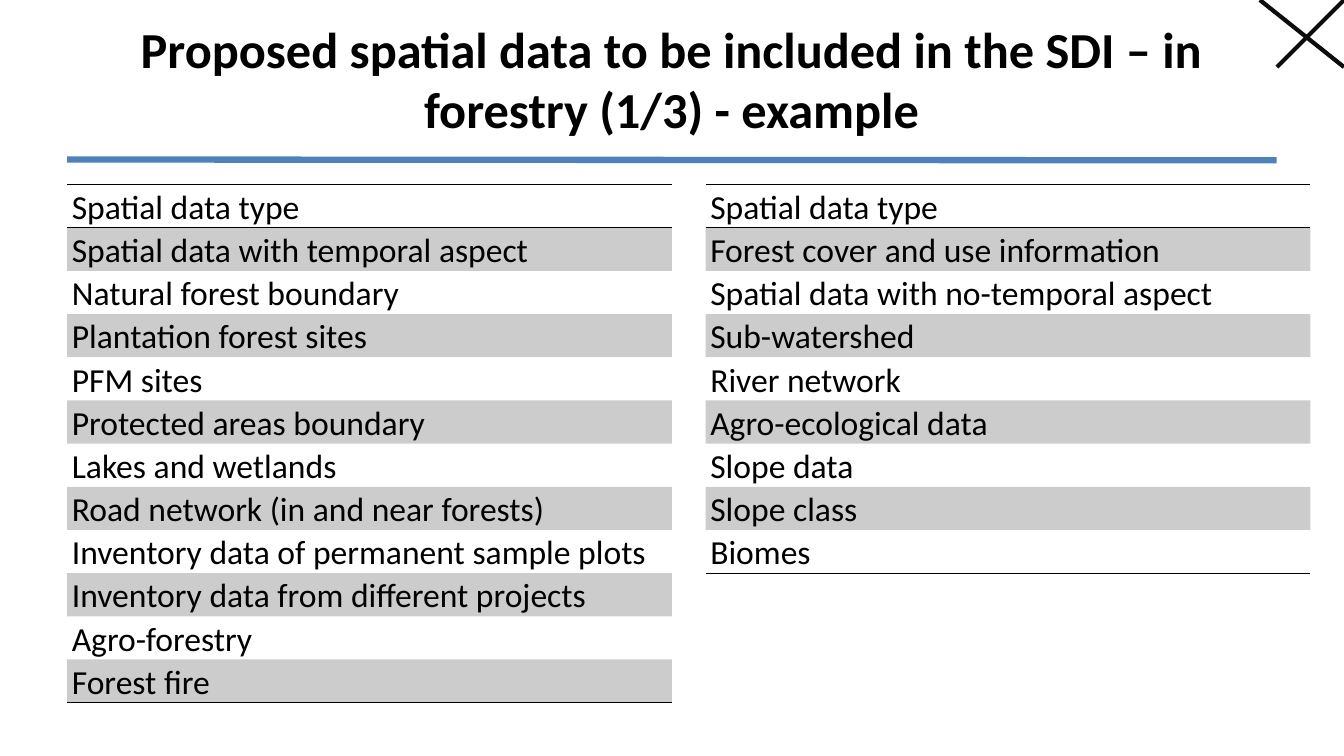
from lxml import etree
from pptx import Presentation, util as u
from pptx.dml.color import RGBColor
from pptx.enum import shapes, text
from pptx.oxml import ns

BLACK, INK, BLUE = "000000", "0D0D0D", "4F81BD"
FONT = "Calibri"
NO_STYLE = "{2D5ABB26-0587-4C30-8999-92F81FD0307C}"
HEADER = "Spatial data type"
TEMPORAL = [
    HEADER, "Spatial data with temporal aspect", "Natural forest boundary",
    "Plantation forest sites", "PFM sites", "Protected areas boundary",
    "Lakes and wetlands", "Road network (in and near forests)",
    "Inventory data of permanent sample plots",
    "Inventory data from different projects", "Agro-forestry", "Forest fire",
]
NON_TEMPORAL = [
    HEADER, "Forest cover and use information",
    "Spatial data with no-temporal aspect", "Sub-watershed", "River network",
    "Agro-ecological data", "Slope data", "Slope class", "Biomes",
]


def rgb(value):
    """Turn a hex string into a colour."""
    return RGBColor.from_string(value)


def set_font(p, size, bold=False):
    """Set the font of a whole paragraph."""
    p.font.name, p.font.size, p.font.bold = FONT, u.Pt(size), bold
    p.font.color.rgb = rgb(BLACK)


def add_line(s, x1, y1, x2, y2, color, width):
    """Draw a straight line between two points in centimetres."""
    ln = s.shapes.add_connector(shapes.MSO_CONNECTOR.STRAIGHT,
                                u.Cm(x1), u.Cm(y1), u.Cm(x2), u.Cm(y2))
    ln.line.color.rgb, ln.line.width = rgb(color), u.Pt(width)
    etree.SubElement(ln._element.spPr, ns.qn("a:effectLst"))


def add_title(s, x, y, w, h, title):
    """Place the title in its box, with the rule just under it."""
    add_line(s, x, y + h + 0.08, x + w, y + h + 0.1, BLUE, 4.5)
    tf = s.shapes.add_textbox(u.Cm(x), u.Cm(y), u.Cm(w), u.Cm(h)).text_frame
    tf.word_wrap = True
    tf.vertical_anchor = text.MSO_ANCHOR.MIDDLE
    p = tf.paragraphs[0]
    p.text, p.alignment = title, text.PP_ALIGN.CENTER
    set_font(p, 36, True)


def add_border(cell, side, position):
    """Add a thin black border to the top or bottom of a cell."""
    ln = etree.Element(ns.qn("a:" + side), w=str(u.Pt(1)))
    fill = etree.SubElement(ln, ns.qn("a:solidFill"))
    etree.SubElement(fill, ns.qn("a:srgbClr"), val=BLACK)
    cell._tc.get_or_add_tcPr().insert(position, ln)


def fill_cell(cell, shaded):
    """Give a cell a translucent black band or no fill."""
    if not shaded:
        cell.fill.background()
        return
    cell.fill.solid()
    cell.fill.fore_color.rgb = rgb(BLACK)
    color = cell._tc.tcPr.find(".//" + ns.qn("a:srgbClr"))
    etree.SubElement(color, ns.qn("a:alpha"), val="20000")


def add_data_table(s, x, y, w, row_h, entries):
    """Place a one-column banded table whose first entry is its header."""
    tbl = s.shapes.add_table(len(entries), 1, u.Cm(x), u.Cm(y), u.Cm(w),
                             u.Cm(row_h * len(entries))).table
    tbl.first_row = tbl.horz_banding = False
    tbl._tbl.tblPr.find(ns.qn("a:tableStyleId")).text = NO_STYLE
    for i, entry in enumerate(entries):
        cell = tbl.cell(i, 0)
        cell.margin_left = cell.margin_right = u.Cm(0.12)
        cell.margin_top = cell.margin_bottom = 0
        p = cell.text_frame.paragraphs[0]
        p.text, p.alignment = entry, text.PP_ALIGN.JUSTIFY
        p.line_spacing = 1.07
        set_font(p, 24)
        fill_cell(cell, i % 2 == 1)
        if i in (0, len(entries) - 1):
            add_border(cell, "lnB", 0)
        if i == 0:
            add_border(cell, "lnT", 0)


def add_corner_cross(s, x, y, w, h):
    """Draw the two crossing lines in the top right corner."""
    add_line(s, x + w, y, x + 0.43, y + h, INK, 3)
    add_line(s, x + w, y + h, x, y, INK, 3)


def main():
    """Build the slide and save it."""
    prs = Presentation()
    prs.slide_width, prs.slide_height = u.Cm(33.87), u.Cm(19.05)
    s = prs.slides.add_slide(prs.slide_layouts[6])
    add_title(s, 1.69, 0, 30.48, 3.94,
              "Proposed spatial data to be included in the SDI – in "
              "forestry (1/3) - example")
    for x, entries in ((1.69, TEMPORAL), (17.78, NON_TEMPORAL)):
        add_data_table(s, x, 4.65, 15.24, 1.03, entries)
    add_corner_cross(s, 31.75, 0, 2.12, 1.69)
    prs.save("out.pptx")


if __name__ == "__main__":
    main()
